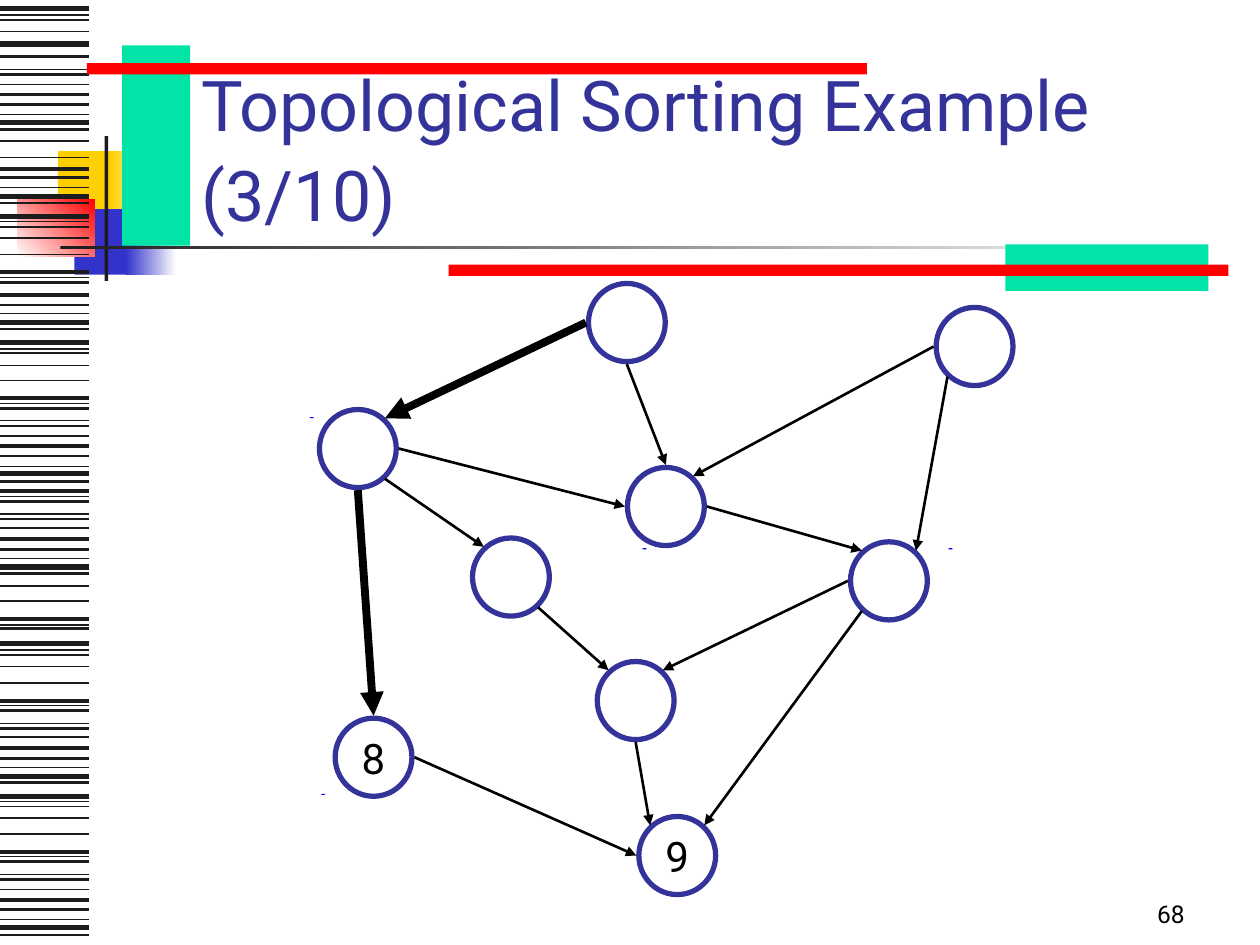
from pptx import Presentation
from pptx.dml.color import RGBColor
from pptx.enum.shapes import MSO_CONNECTOR, MSO_SHAPE
from pptx.enum.text import MSO_ANCHOR, PP_ALIGN
from pptx.oxml.ns import qn
from pptx.util import Inches, Pt
from lxml import etree

BLACK = RGBColor(0x00, 0x00, 0x00)
WHITE = RGBColor(0xFF, 0xFF, 0xFF)
CHARCOAL = RGBColor(0x1C, 0x1C, 0x1C)
YELLOW = RGBColor(0xFF, 0xCF, 0x01)
BLUE = RGBColor(0x33, 0x33, 0xCC)
INDIGO = RGBColor(0x33, 0x33, 0x99)
PURE_BLUE = RGBColor(0x00, 0x00, 0xFF)
RED = RGBColor(0xFF, 0x00, 0x00)
GREEN = RGBColor(0x00, 0xE4, 0xA8)

RECTANGLE, ELLIPSE = MSO_SHAPE.RECTANGLE, MSO_SHAPE.OVAL
STRAIGHT = MSO_CONNECTOR.STRAIGHT
LEFT, CENTER, RIGHT = PP_ALIGN.LEFT, PP_ALIGN.CENTER, PP_ALIGN.RIGHT
MIDDLE, BOTTOM = MSO_ANCHOR.MIDDLE, MSO_ANCHOR.BOTTOM

COLUMNS, ROWS = 100, 75
NODE_WIDTH, NODE_HEIGHT = 6.1, 6.2
FONT = "Roboto"

STRIPES = {
    0.75: [1.2, 5.5, 9.1, 14.9, 17.6, 22, 24.9, 27.7, 32, 33.4, 37, 39.4, 40.8,
           44.3, 49.6, 51.6, 56, 57.4, 60.9, 63.6, 68, 69.4, 73],
    1: [1.6, 2.5, 6.7, 11.2, 12.5, 18, 18.9, 20.2, 28, 29, 30.2, 34.6, 41.9,
        46.5, 47.7, 52, 52.9, 54.2, 58.5, 64, 64.9, 66.2, 70.6],
    1.5: [4.5, 5.9, 8.3, 10.3, 14.1, 16.1, 22.4, 24.2, 26.1, 32.4, 33.8, 36.2,
          38.2, 39.8, 41.2, 43.6, 45.5, 49.9, 56.4, 57.8, 60.2, 62.1, 68.4,
          69.8, 72.2, 74.2],
    2.25: [7.5, 13.4, 21.6, 23.4, 31.6, 35.4, 39, 42.8, 49.1, 55.6, 59.4, 67.6, 71.4],
    3: [0.7, 3.5, 9.7, 15.6, 17.2, 25.6, 27.2, 37.6, 45, 51.1, 61.6, 63.2, 73.6],
}

NODES = {
    "top": (49.75, 25.6, ""),
    "upper right": (77.35, 27.5, ""),
    "upper left": (28.4, 35.6, ""),
    "hub": (52.85, 40.2, ""),
    "inner left": (40.55, 45.8, ""),
    "lower right": (70.55, 46.1, ""),
    "lower hub": (50.45, 55.6, ""),
    "eight": (29.65, 60.1, "8"),
    "nine": (53.75, 67.9, "9"),
}

PORTS = {
    "N": (0, -3.3), "S": (0, 3.3), "W": (-3.25, 0), "E": (3.25, 0),
    "NW": (-2.15, -2.4), "NE": (2.15, -2.4), "SW": (-2.15, 2.4), "SE": (2.15, 2.4),
}

EDGES = [
    ("top", "W", "upper left", "NE", 4.5),
    ("top", "S", "hub", "N", 1.5),
    ("upper right", "W", "hub", "NE", 1.5),
    ("lower right", "W", "lower hub", "NE", 1.5),
    ("lower right", "SW", "nine", "NE", 1.5),
    ("eight", "E", "nine", "W", 1.5),
    ("lower hub", "S", "nine", "NW", 1.5),
    ("inner left", "SE", "lower hub", "NW", 1.5),
    ("upper left", "SE", "inner left", "NW", 1.5),
    ("upper left", "S", "eight", "N", 4.5),
    ("upper left", "E", "hub", "W", 1.5),
    ("hub", "E", "lower right", "NW", 1.5),
    ("upper right", "SW", "lower right", "NE", 1.5),
]


def write_text(frame, text, size=24, color=BLACK, align=LEFT, anchor=MIDDLE,
               wrap=True, spacing=None):
    frame.word_wrap = wrap
    frame.vertical_anchor = anchor
    paragraph = frame.paragraphs[0]
    paragraph.alignment = align
    if spacing:
        paragraph.line_spacing = Pt(spacing)
    run = paragraph.add_run()
    run.text = text
    run.font.name = FONT
    run.font.size = Pt(size)
    run.font.color.rgb = color


class SlideCanvas:
    def __init__(self, presentation):
        self.slide = presentation.slides.add_slide(presentation.slide_layouts[6])
        self.column = presentation.slide_width / COLUMNS
        self.row = presentation.slide_height / ROWS

    def place(self, x, y):
        return round(x * self.column), round(y * self.row)

    def block(self, x, y, width, height, color, kind=RECTANGLE, outline=None):
        shape = self.slide.shapes.add_shape(
            kind, *self.place(x, y), *self.place(width, height))
        shape.shadow.inherit = False
        shape.fill.solid()
        shape.fill.fore_color.rgb = color
        if outline:
            shape.line.color.rgb = outline
            shape.line.width = Pt(3)
        else:
            shape.line.fill.background()
        return shape

    def fade(self, x, y, width, height, start, end, angle=0):
        fill = self.block(x, y, width, height, start).fill
        fill.gradient()
        fill.gradient_angle = angle
        for stop, color, position in zip(fill.gradient_stops, (start, end), (0, 1)):
            stop.color.rgb = color
            stop.position = position

    def line(self, start, end, color, weight, arrow=False):
        connector = self.slide.shapes.add_connector(
            STRAIGHT, *self.place(*start), *self.place(*end))
        connector.line.color.rgb = color
        connector.line.width = Pt(weight)
        if arrow:
            outline = connector.line._get_or_add_ln()
            etree.SubElement(outline, qn("a:tailEnd"), type="triangle")
        etree.SubElement(connector._element.spPr, qn("a:effectLst"))

    def node(self, x, y, label):
        circle = self.block(x - NODE_WIDTH / 2, y - NODE_HEIGHT / 2,
                            NODE_WIDTH, NODE_HEIGHT, WHITE, ELLIPSE, INDIGO)
        if label:
            write_text(circle.text_frame, label, align=CENTER, wrap=False)

    def edge(self, source, source_port, target, target_port, weight):
        ends = []
        for name, port in ((source, source_port), (target, target_port)):
            x, y, _ = NODES[name]
            dx, dy = PORTS[port]
            ends.append((x + dx, y + dy))
        self.line(*ends, BLACK, weight, arrow=True)

    def text(self, x, y, width, height, text, **style):
        box = self.slide.shapes.add_textbox(
            *self.place(x, y), *self.place(width, height))
        write_text(box.text_frame, text, **style)


def draw_decoration(canvas):
    canvas.block(4.6, 12, 4.8, 5.2, YELLOW)
    canvas.fade(8.8, 12, 3.6, 5.2, YELLOW, WHITE)
    canvas.block(5.9, 16.6, 4.6, 5.2, BLUE)
    canvas.fade(10, 16.6, 4, 5.2, BLUE, WHITE)
    canvas.fade(1.4, 15.8, 6.1, 4.6, WHITE, RED, angle=45)
    canvas.block(8.3, 10.8, 0.3, 11.5, CHARCOAL)
    canvas.fade(4.8, 19.5, 90, 0.3, CHARCOAL, WHITE)
    for weight, heights in STRIPES.items():
        for y in heights:
            canvas.line((0, y), (7.1, y), CHARCOAL, weight)
    canvas.block(9.7, 3.6, 5.4, 15.9, GREEN)
    canvas.block(6.9, 5, 61.9, 0.9, RED)
    canvas.block(79.8, 19.4, 16.1, 3.7, GREEN)
    canvas.block(35.6, 21, 61.9, 0.9, RED)


def draw_graph(canvas):
    for x, y in ((24.6, 33.1), (51, 43.5), (75.3, 43.5), (25.5, 63)):
        canvas.block(x, y, 0.3, 0.1, PURE_BLUE)
    for x, y, label in NODES.values():
        canvas.node(x, y, label)
    for edge in EDGES:
        canvas.edge(*edge)


def main():
    presentation = Presentation()
    presentation.slide_width, presentation.slide_height = Inches(10), Inches(7.5)
    canvas = SlideCanvas(presentation)
    draw_decoration(canvas)
    canvas.text(74.2, 69.2, 20.8, 5, "68", size=14, align=RIGHT, anchor=BOTTOM)
    canvas.text(15, 6.7, 77.5, 12.5, "Topological Sorting Example (3/10)",
                size=40, color=INDIGO, anchor=BOTTOM, spacing=51.6)
    draw_graph(canvas)
    presentation.save("out.pptx")


if __name__ == "__main__":
    main()
